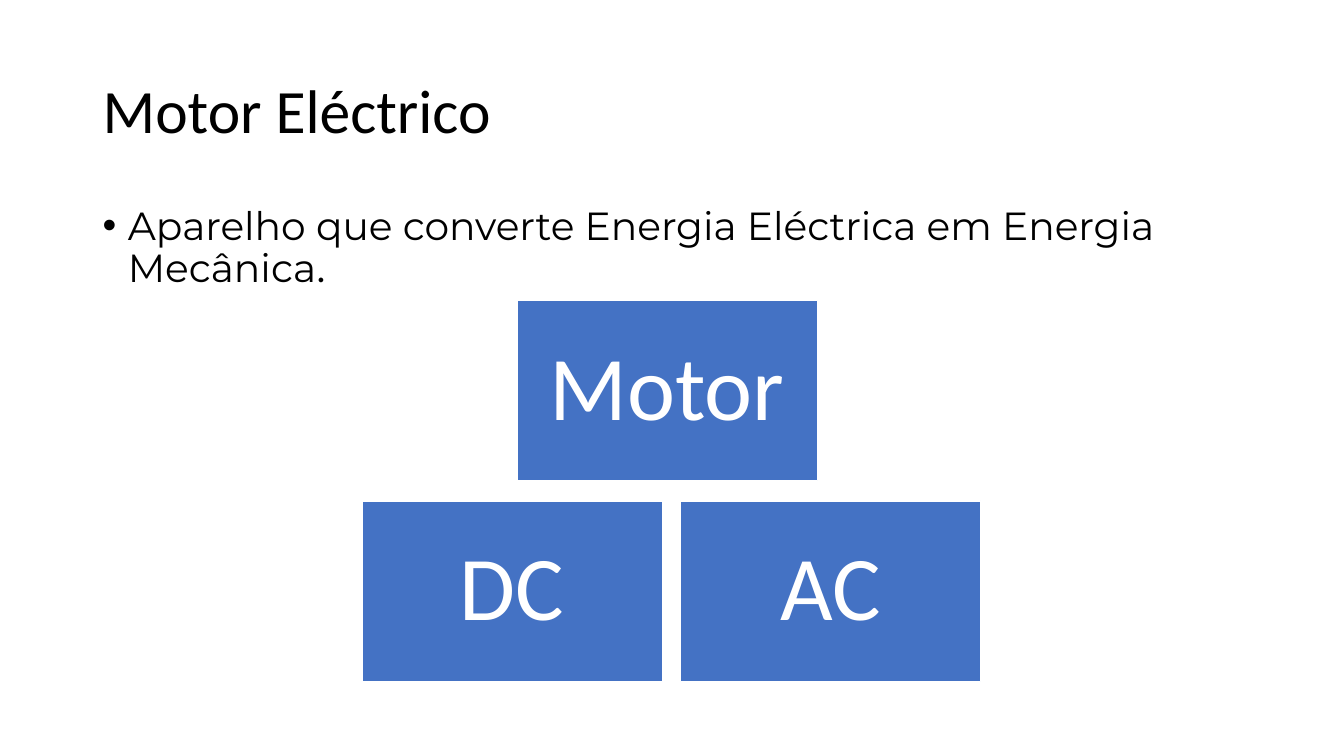
from dataclasses import dataclass

from lxml.etree import SubElement
from pptx import Presentation
from pptx.dml.color import RGBColor
from pptx.enum.shapes import MSO_SHAPE
from pptx.enum.text import MSO_ANCHOR, PP_ALIGN
from pptx.oxml.ns import qn
from pptx.slide import Slide
from pptx.text.text import TextFrame, _Paragraph
from pptx.util import Pt


@dataclass(frozen=True)
class Theme:
    ink: RGBColor = RGBColor(0x00, 0x00, 0x00)
    white: RGBColor = RGBColor(0xFF, 0xFF, 0xFF)
    blue: RGBColor = RGBColor(0x44, 0x72, 0xC4)
    main_font: str = "Calibri"
    body_font: str = "Montserrat"
    title_size: float = 44
    body_size: float = 28
    box_size: float = 65
    line_spacing: float = 0.9


@dataclass(frozen=True)
class MotorBox:
    label: str
    left: float
    top: float


THEME = Theme()

# Grid, in points
TEXT_LEFT, TEXT_WIDTH = 66.24, 828
BOX_WIDTH, BOX_HEIGHT = 214.56, 128.88
BOX_INSET = 19.44
COLUMN_GAP, ROW_GAP = 12.96, 14.4
TREE_LEFT, TREE_TOP = 258.48, 214.56
ROOT_LEFT = 369.36
TYPES_TOP = TREE_TOP + BOX_HEIGHT + ROW_GAP

MOTOR_BOXES = [
    MotorBox("Motor", ROOT_LEFT, TREE_TOP),
    MotorBox("AC", TREE_LEFT + BOX_WIDTH + COLUMN_GAP, TYPES_TOP),
    MotorBox("DC", TREE_LEFT, TYPES_TOP),
]


def add_run(paragraph: _Paragraph, text: str, font: str, size: float, color: RGBColor) -> None:
    paragraph.line_spacing = THEME.line_spacing
    run = paragraph.add_run()
    run.text = text
    run.font.name = font
    run.font.size = Pt(size)
    run.font.color.rgb = color


def add_text_area(slide: Slide, top: float, height: float, anchor: MSO_ANCHOR) -> TextFrame:
    text_box = slide.shapes.add_textbox(Pt(TEXT_LEFT), Pt(top), Pt(TEXT_WIDTH), Pt(height))
    text_frame = text_box.text_frame
    text_frame.word_wrap = True
    text_frame.vertical_anchor = anchor
    return text_frame


def add_bullet(paragraph: _Paragraph, indent: float) -> None:
    properties = paragraph._p.get_or_add_pPr()
    properties.set("marL", str(Pt(indent)))
    properties.set("indent", str(-Pt(indent)))
    SubElement(properties, qn("a:buFont"), typeface="Arial")
    SubElement(properties, qn("a:buChar"), char="•")


def add_motor_box(slide: Slide, box: MotorBox) -> None:
    shape = slide.shapes.add_shape(
        MSO_SHAPE.RECTANGLE, Pt(box.left), Pt(box.top), Pt(BOX_WIDTH), Pt(BOX_HEIGHT)
    )
    shape.shadow.inherit = False
    shape.fill.solid()
    shape.fill.fore_color.rgb = THEME.blue
    shape.line.color.rgb = THEME.white
    shape.line.width = Pt(1)

    text_frame = shape.text_frame
    text_frame.word_wrap = True
    text_frame.vertical_anchor = MSO_ANCHOR.MIDDLE
    text_frame.margin_left = text_frame.margin_right = Pt(BOX_INSET)
    text_frame.margin_top = text_frame.margin_bottom = Pt(BOX_INSET)
    paragraph = text_frame.paragraphs[0]
    paragraph.alignment = PP_ALIGN.CENTER
    add_run(paragraph, box.label, THEME.main_font, THEME.box_size, THEME.white)


def main() -> None:
    presentation = Presentation()
    presentation.slide_width, presentation.slide_height = Pt(960), Pt(540)
    slide = presentation.slides.add_slide(presentation.slide_layouts[6])

    # Title
    title = add_text_area(slide, 28.8, 104.4, MSO_ANCHOR.MIDDLE).paragraphs[0]
    add_run(title, "Motor Eléctrico", THEME.main_font, THEME.title_size, THEME.ink)

    # Definition
    definition = add_text_area(slide, 144, 342.72, MSO_ANCHOR.TOP).paragraphs[0]
    definition.space_before = Pt(10)
    for text, font in (
        ("Aparelho que converte Energia Eléctrica em Energia Mecânica", THEME.body_font),
        (".", THEME.main_font),
    ):
        add_run(definition, text, font, THEME.body_size, THEME.ink)
    add_bullet(definition, 18)

    # Motor types
    for box in MOTOR_BOXES:
        add_motor_box(slide, box)

    presentation.save("out.pptx")


if __name__ == "__main__":
    main()
